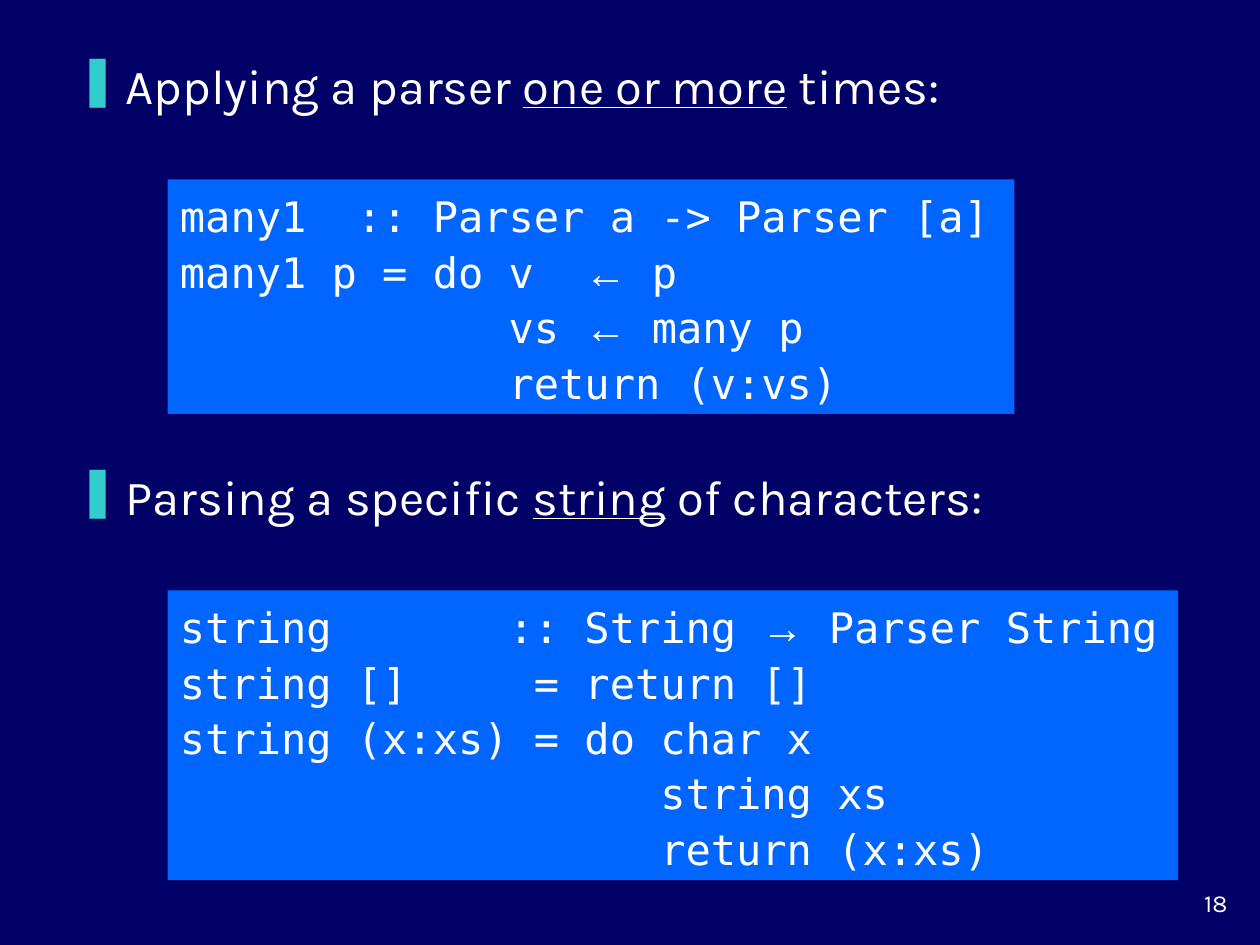
import pptx
import pptx.util
import pptx.dml.color
import pptx.enum.shapes
import pptx.enum.text
from lxml import etree

Inches, Pt = pptx.util.Inches, pptx.util.Pt
ALIGN = pptx.enum.text.PP_ALIGN
COLORS = {"back": "000066", "code": "0066FF", "mark": "33CCCC", "text": "FFFFFF"}
BODY, MONO, ARROW = "Karla", "DejaVu Sans Mono", "Arial"

# Each part: heading runs (before, underlined, after), top, code width and height, code
PARTS = [
    (("Applying a parser ", "one or more", " times:"), 0.39, 6.72, 1.86, [
        "many1  :: Parser a -> Parser [a]",
        "many1 p = do v  ← p",
        "             vs ← many p",
        "             return (v:vs)",
    ]),
    (("Parsing a specific ", "string", " of characters:"), 3.65, 8.02, 2.3, [
        "string       :: String → Parser String",
        "string []     = return []",
        "string (x:xs) = do char x",
        "                   string xs",
        "                   return (x:xs)",
    ]),
]
NUMBER = "18"
CODE_DROP = 1.035  # from top of heading to top of code


def color(key):
    return pptx.dml.color.RGBColor.from_string(COLORS[key])


def style(para, face, size):
    para.font.name = face
    para.font.size = Pt(size)
    para.font.color.rgb = color("text")


def add_text(slide, *box):
    frame = slide.shapes.add_textbox(*map(Inches, box)).text_frame
    frame.word_wrap = True
    return frame.paragraphs[0]


def add_bullet(para):
    props = para._p.get_or_add_pPr()
    props.set("marL", str(Inches(0.38)))
    props.set("indent", str(Inches(-0.38)))
    space = "{http://schemas.openxmlformats.org/drawingml/2006/main}"
    tint = etree.SubElement(props, space + "buClr")
    etree.SubElement(tint, space + "srgbClr", val=COLORS["mark"])
    etree.SubElement(props, space + "buChar", char="❚")


def add_head(slide, top, texts):
    para = add_text(slide, 0.52, top, 8.7, 0.68)
    para.space_before = Pt(7)
    add_bullet(para)
    style(para, BODY, 28)
    for i, text in enumerate(texts):
        run = para.add_run()
        run.text = text
        if i == 1:
            run.font.underline = True


def add_line(para, line):
    """Write one line of code, with any arrow in its own font."""
    para.alignment = ALIGN.LEFT
    para.line_spacing = 1.1
    style(para, MONO, 24)
    for arrow in "←→":
        line = line.replace(arrow, f"\n{arrow}\n")
    for piece in line.split("\n"):
        run = para.add_run()
        run.text = piece
        if piece in ("←", "→"):
            run.font.name = ARROW


def add_code(slide, top, width, height, lines):
    kind = pptx.enum.shapes.MSO_SHAPE.RECTANGLE
    shape = slide.shapes.add_shape(kind, *map(Inches, (1.33, top, width, height)))
    shape.shadow.inherit = False
    shape.fill.solid()
    shape.fill.fore_color.rgb = color("code")
    shape.line.fill.background()
    frame = shape.text_frame
    frame.word_wrap = True
    frame.vertical_anchor = pptx.enum.text.MSO_ANCHOR.MIDDLE
    frame.auto_size = pptx.enum.text.MSO_AUTO_SIZE.SHAPE_TO_FIT_TEXT
    for i, line in enumerate(lines):
        add_line(frame.add_paragraph() if i else frame.paragraphs[0], line)


def main():
    deck = pptx.Presentation()
    deck.slide_width, deck.slide_height = Inches(10), Inches(7.5)
    slide = deck.slides.add_slide(deck.slide_layouts[6])
    slide.background.fill.solid()
    slide.background.fill.fore_color.rgb = color("back")
    for head, top, width, height, lines in PARTS:
        add_head(slide, top, head)
        add_code(slide, top + CODE_DROP, width, height, lines)
    para = add_text(slide, 9.17, 7, 0.67, 0.33)
    para.alignment = ALIGN.RIGHT
    style(para, BODY, 14)
    para.add_run().text = NUMBER
    deck.save("out.pptx")


if __name__ == "__main__":
    main()
